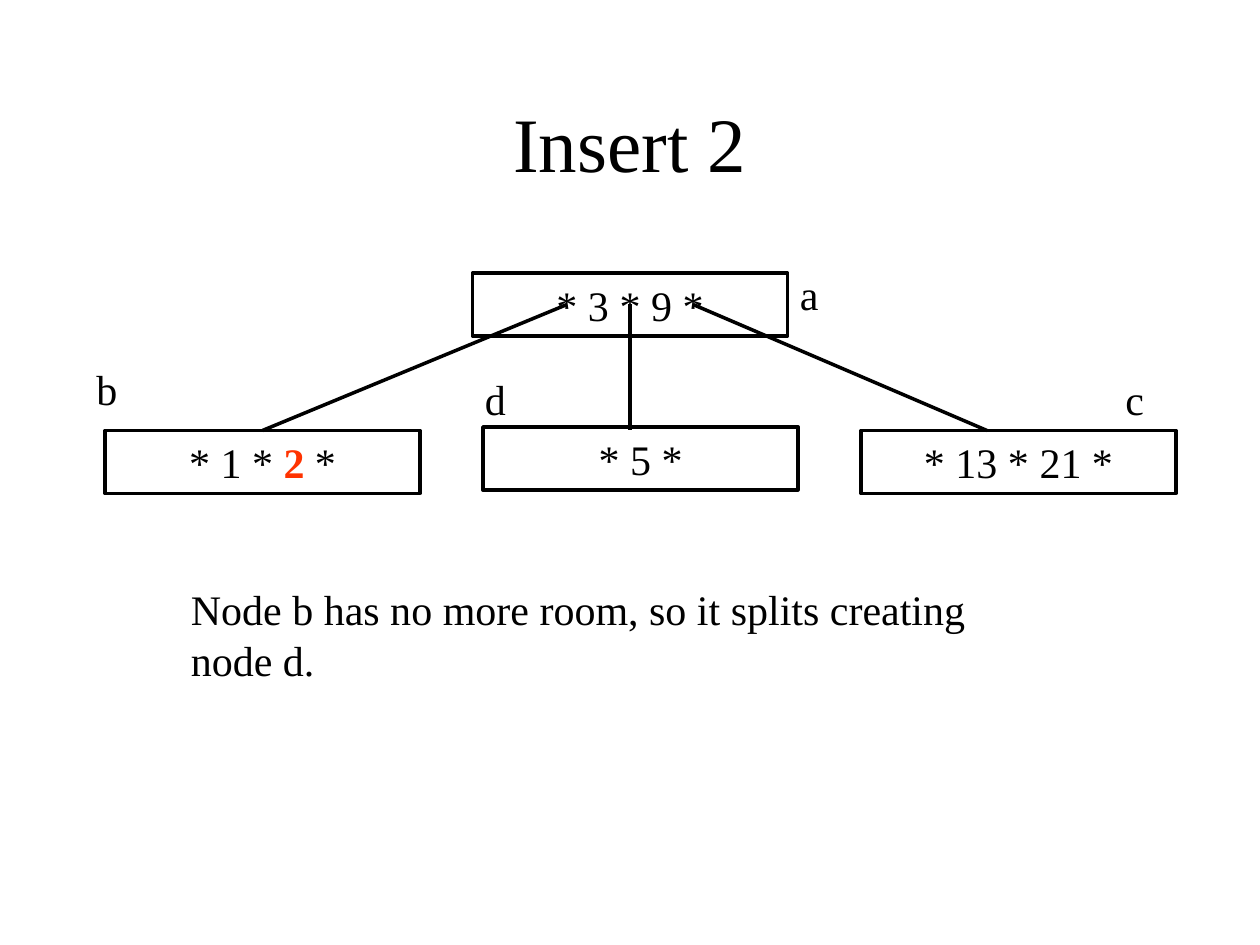
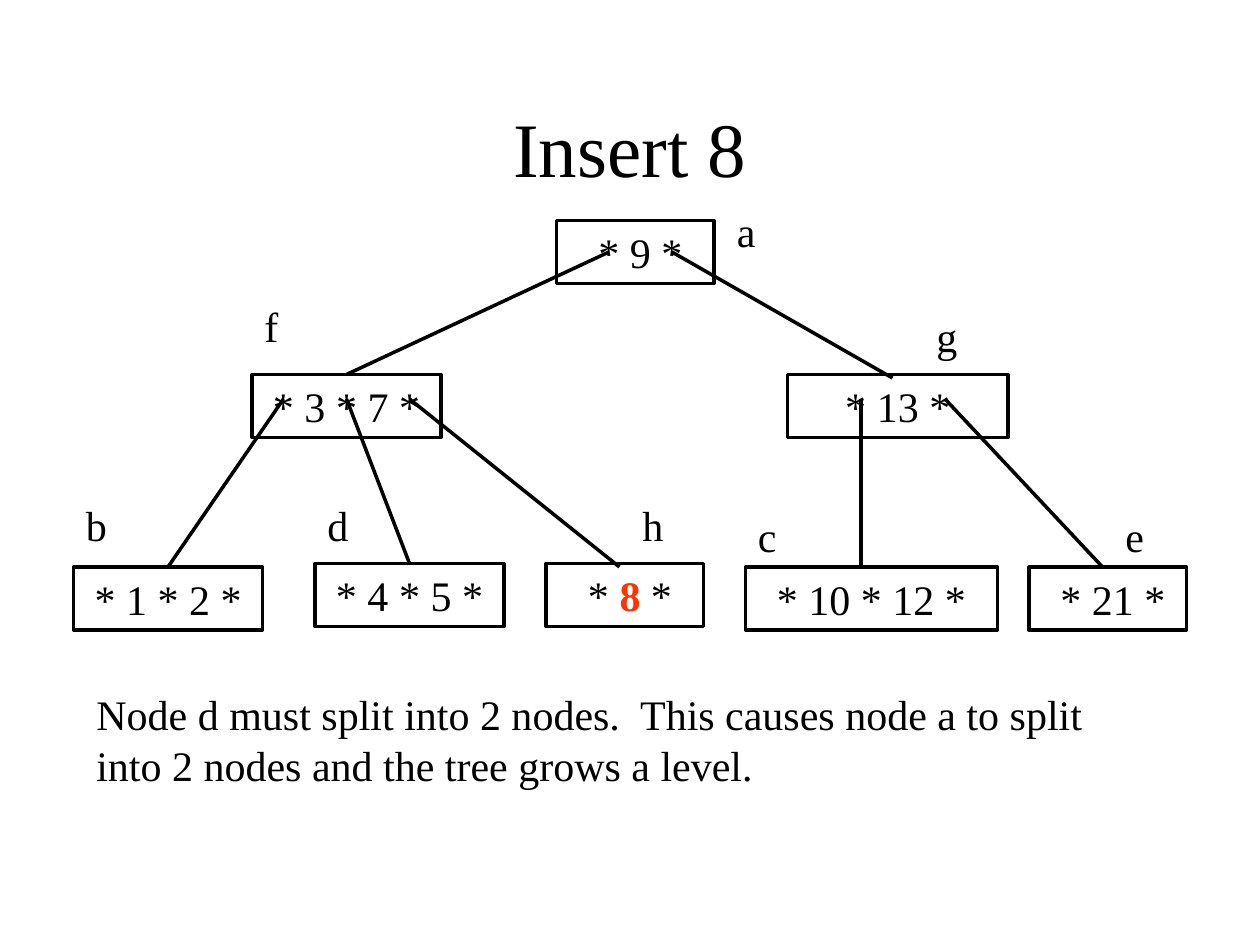
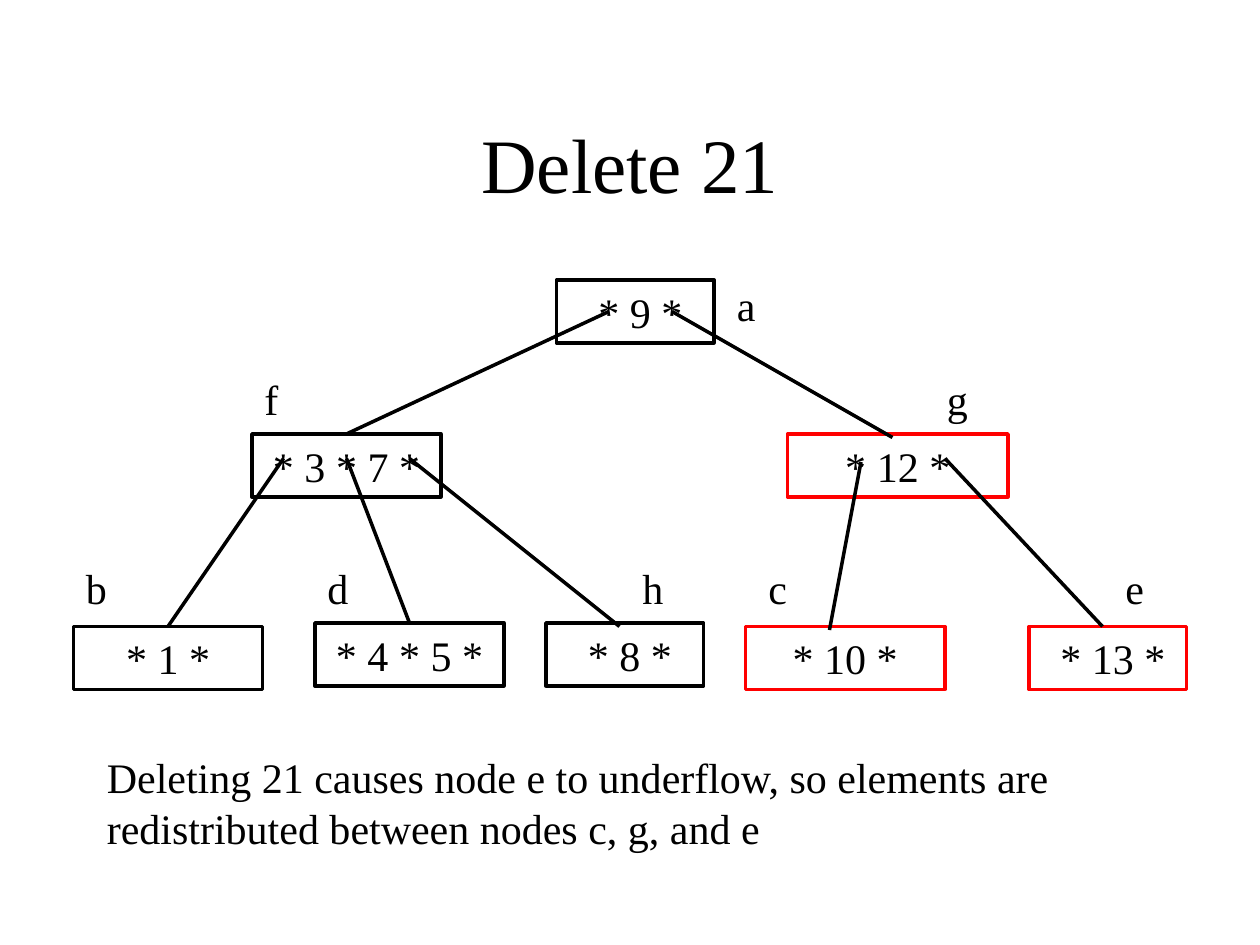
"""Build three slides that show insertions and a deletion in a B-tree."""
import lxml.etree
import pptx
import pptx.dml.color
import pptx.enum.shapes
import pptx.enum.text
import pptx.oxml.ns
import pptx.util

Pt = pptx.util.Pt
ALIGN = pptx.enum.text.PP_ALIGN
ANCHOR = pptx.enum.text.MSO_ANCHOR
FONT = "Times New Roman"
INK = "000000"
NEW_KEY = "FF3300"
CHANGED = "FF0000"
NODE_HEIGHT = 36
LABEL_SIZE = 36
CAPTION_HEIGHT = 65
TOP_SIDE = 0
DELETE_SHIFT = 34

INSERT_2_NODES = {
    "a": (270, 156, 180, "* 3 * 9 *"),
    "b": (60, 246, 180, "* 1 * |2| *"),
    "c": (492, 246, 180, "* 13 * 21 *"),
    "d": (276, 244, 180, "* 5 *"),
}
INSERT_2_LINKS = [
    ((324, 174), "b"),
    ((360, 174), (360, 246)),
    ((396, 174), (564, 246)),
]
INSERT_2_LABELS = {"a": (450, 150), "b": (48, 204), "d": (270, 210), "c": (636, 210)}

INSERT_8_NODES = {
    "f": (144, 214, 108, "* 3 * 7 *"),
    "e": (588, 324, 90, " * 21 *"),
    "g": (450, 214, 126, "* 13 *"),
    "a": (318, 126, 90, " * 9 *"),
    "b": (42, 324, 108, "* 1 * 2 *"),
    "d": (180, 322, 108, "* 4 * 5 *"),
    "c": (426, 324, 144, "* 10 * 12 *"),
    "h": (312, 322, 90, " * |8| *"),
}
DELETE_21_NODES = INSERT_8_NODES | {
    "e": (588, 324, 90, " * 13 *"),
    "g": (450, 214, 126, "* 12 *"),
    "b": (42, 324, 108, "* 1 *"),
    "c": (426, 324, 114, "* 10 *"),
    "h": (312, 322, 90, " * 8 *"),
}
COMMON_LINKS = [
    ((348, 144), "f"),
    ((384, 144), (510, 216)),
    ((162, 228), "b"),
    ((198, 228), "d"),
    ((234, 228), (354, 324)),
    ((540, 228), (630, 324)),
]
INSERT_8_LINKS = COMMON_LINKS + [((492, 228), (492, 324))]
DELETE_21_LINKS = COMMON_LINKS + [((492, 230), (474, 326))]
INSERT_8_LABELS = {
    "b": (42, 282), "a": (414, 114), "f": (144, 168), "g": (528, 174),
    "d": (180, 282), "h": (360, 282), "c": (426, 288), "e": (636, 288),
}
DELETE_21_LABELS = {
    "a": (414, 156), "f": (144, 210), "g": (534, 210), "b": (42, 318),
    "d": (180, 318), "h": (360, 318), "c": (432, 318), "e": (636, 318),
}


def color(hex_code):
    """Return the colour for a hex string."""
    return pptx.dml.color.RGBColor.from_string(hex_code)


def style_font(font, size, hex_code=INK):
    """Set typeface, size and colour."""
    font.name = FONT
    font.size = Pt(size)
    font.color.rgb = color(hex_code)


def write(box, text, alignment):
    """Write body text, with keys between bars in the highlight colour."""
    frame = box.text_frame
    frame.word_wrap = True
    frame.auto_size = pptx.enum.text.MSO_AUTO_SIZE.SHAPE_TO_FIT_TEXT
    frame.vertical_anchor = ANCHOR.TOP
    paragraph = frame.paragraphs[0]
    paragraph.alignment = alignment
    paragraph.space_before = Pt(15)
    style_font(paragraph.font, 24)
    for index, part in enumerate(text.split("|")):
        run = paragraph.add_run()
        run.text = part
        if index % 2:
            run.font.bold = True
            run.font.color.rgb = color(NEW_KEY)


def add_title(slide, text, height):
    """Place and format the slide title."""
    title = slide.shapes.title
    title.left, title.top, title.width, title.height = map(Pt, (54, 48, 612, height))
    title.text_frame.text = text
    title.text_frame.vertical_anchor = ANCHOR.MIDDLE
    paragraph = title.text_frame.paragraphs[0]
    paragraph.alignment = ALIGN.CENTER
    style_font(paragraph.font, 44)


def add_node(slide, left, top, width, keys, outline):
    """Add one tree node with its keys."""
    node = slide.shapes.add_shape(
        pptx.enum.shapes.MSO_SHAPE.RECTANGLE, Pt(left), Pt(top), Pt(width), Pt(NODE_HEIGHT))
    node.shadow.inherit = False
    node.fill.background()
    node.line.color.rgb = color(outline)
    node.line.width = Pt(2)
    write(node, keys, ALIGN.CENTER)
    return node


def add_link(slide, start, end, child=None):
    """Draw a child pointer, joined to the child's top side if one is given."""
    link = slide.shapes.add_connector(
        pptx.enum.shapes.MSO_CONNECTOR.STRAIGHT, *map(Pt, start + end))
    link.line.color.rgb = color(INK)
    link.line.width = Pt(2)
    lxml.etree.SubElement(link.element.spPr, pptx.oxml.ns.qn("a:effectLst"))
    if child is not None:
        link.end_connect(child, TOP_SIDE)


def add_text(slide, left, top, width, height, text):
    """Add a left-aligned text box."""
    box = slide.shapes.add_textbox(Pt(left), Pt(top), Pt(width), Pt(height))
    write(box, text, ALIGN.LEFT)


def add_tree(slide, nodes, links, labels, shift=0, changed=""):
    """Draw nodes and pointers moved down by shift, then the node labels."""
    drawn = {}
    for name, (left, top, width, keys) in nodes.items():
        outline = CHANGED if name in changed else INK
        drawn[name] = add_node(slide, left, top + shift, width, keys, outline)
    for (x, y), target in links:
        start = (x, y + shift)
        if target in drawn:
            add_link(slide, start, start, drawn[target])
        else:
            add_link(slide, start, (target[0], target[1] + shift))
    for name, (left, top) in labels.items():
        add_text(slide, left, top, LABEL_SIZE, LABEL_SIZE, name)


def main():
    """Build and save the presentation."""
    deck = pptx.Presentation()
    deck.slide_width, deck.slide_height = Pt(720), Pt(540)
    title_only = deck.slide_layouts[5]

    insert_2 = deck.slides.add_slide(title_only)
    add_title(insert_2, "Insert 2", 66)
    add_tree(insert_2, INSERT_2_NODES, INSERT_2_LINKS, INSERT_2_LABELS)
    add_text(insert_2, 102, 330, 498, CAPTION_HEIGHT,
             "Node b has no more room, so it splits creating node d.")

    insert_8 = deck.slides.add_slide(title_only)
    add_title(insert_8, "Insert 8", 72)
    add_tree(insert_8, INSERT_8_NODES, INSERT_8_LINKS, INSERT_8_LABELS)
    add_text(insert_8, 48, 390, 606, CAPTION_HEIGHT,
             "Node d must split into 2 nodes.  This causes node a to split "
             "into 2 nodes and the tree grows a level.")

    delete_21 = deck.slides.add_slide(title_only)
    add_title(delete_21, "Delete 21", 90)
    add_tree(delete_21, DELETE_21_NODES, DELETE_21_LINKS, DELETE_21_LABELS,
             DELETE_SHIFT, changed="ceg")
    add_text(delete_21, 54, 426, 582, CAPTION_HEIGHT,
             "Deleting 21 causes node e to underflow, so elements are "
             "redistributed between nodes c, g, and e")

    deck.save("out.pptx")


if __name__ == "__main__":
    main()
